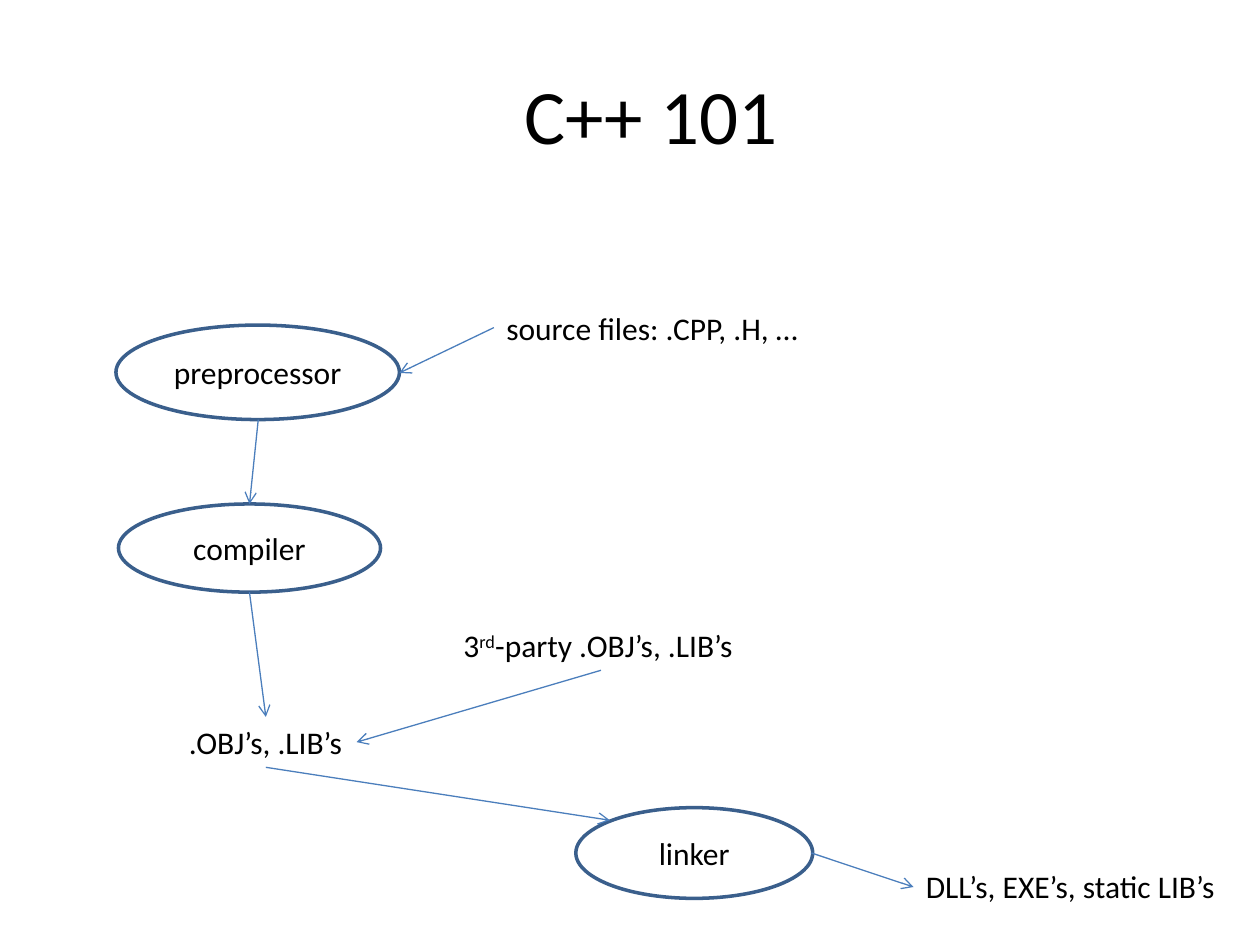
from lxml import etree
from pptx import Presentation
from pptx.dml.color import RGBColor
from pptx.enum.shapes import MSO_CONNECTOR, MSO_SHAPE
from pptx.enum.text import MSO_ANCHOR, MSO_AUTO_SIZE, PP_ALIGN
from pptx.oxml.ns import qn
from pptx.util import Inches, Pt

BLACK = RGBColor(0x00, 0x00, 0x00)
OUTLINE = RGBColor(0x3A, 0x5F, 0x8C)
ARROW = RGBColor(0x4B, 0x7E, 0xBC)


def format_text(tf, size=18, align=PP_ALIGN.LEFT):
    for p in tf.paragraphs:
        p.alignment = align
        for r in p.runs:
            r.font.name = "Calibri"
            r.font.size = Pt(size)
            r.font.color.rgb = BLACK


prs = Presentation()
prs.slide_width, prs.slide_height = Inches(10), Inches(7.5)
s = prs.slides.add_slide(prs.slide_layouts[6])

title = s.shapes.add_textbox(Inches(0.67), Inches(0.28), Inches(9), Inches(1.25))
tf = title.text_frame
tf.word_wrap = True
tf.vertical_anchor = MSO_ANCHOR.MIDDLE
tf.text = "C++ 101"
format_text(tf, 44, PP_ALIGN.CENTER)

# Build tools
tools = [
    ("preprocessor", 0.92, 2.58, 2.25, 0.75),
    ("compiler", 0.94, 4, 2.08, 0.7),
    ("linker", 4.57, 6.41, 1.88, 0.72),
]
for name, *box in tools:
    sp = s.shapes.add_shape(MSO_SHAPE.OVAL, *map(Inches, box))
    sp.shadow.inherit = False
    sp.fill.background()
    sp.line.color.rgb = OUTLINE
    sp.line.width = Pt(2)
    tf = sp.text_frame
    tf.vertical_anchor = MSO_ANCHOR.MIDDLE
    tf.text = name
    format_text(tf, align=PP_ALIGN.CENTER)

# Files: each label is a list of runs, the second one raised
files = [
    (["source files: .CPP, .H, …"], 3.92, 2.4, 2.56),
    (["3", "rd", "-party .OBJ’s, .LIB’s"], 3.58, 4.92, 2.37),
    ([".OBJ’s, .LIB’s"], 1.4, 5.69, 1.44),
    (["DLL’s, EXE’s, static LIB’s"], 7.25, 6.83, 2.52),
]
for parts, left, top, width in files:
    label = s.shapes.add_textbox(Inches(left), Inches(top), Inches(width), Inches(0.4))
    tf = label.text_frame
    tf.word_wrap = False
    tf.auto_size = MSO_AUTO_SIZE.SHAPE_TO_FIT_TEXT
    p = tf.paragraphs[0]
    for part in parts:
        p.add_run().text = part
    format_text(tf)
    for r in p.runs[1:2]:
        r.font._element.set("baseline", "30000")

# Flow between files and tools
flows = [
    (3.92, 2.6, 3.17, 2.96),
    (2.05, 3.33, 1.98, 4),
    (1.98, 4.7, 2.11, 5.69),
    (4.77, 5.32, 2.83, 5.89),
    (2.11, 6.09, 4.84, 6.51),
    (6.44, 6.77, 7.25, 7.04),
]
for ends in flows:
    arrow = s.shapes.add_connector(MSO_CONNECTOR.STRAIGHT, *map(Inches, ends))
    arrow.line.color.rgb = ARROW
    arrow.line.width = Pt(0.75)
    etree.SubElement(arrow.line._get_or_add_ln(), qn("a:tailEnd"), type="arrow")
    etree.SubElement(arrow._element.spPr, qn("a:effectLst"))

prs.save("out.pptx")
